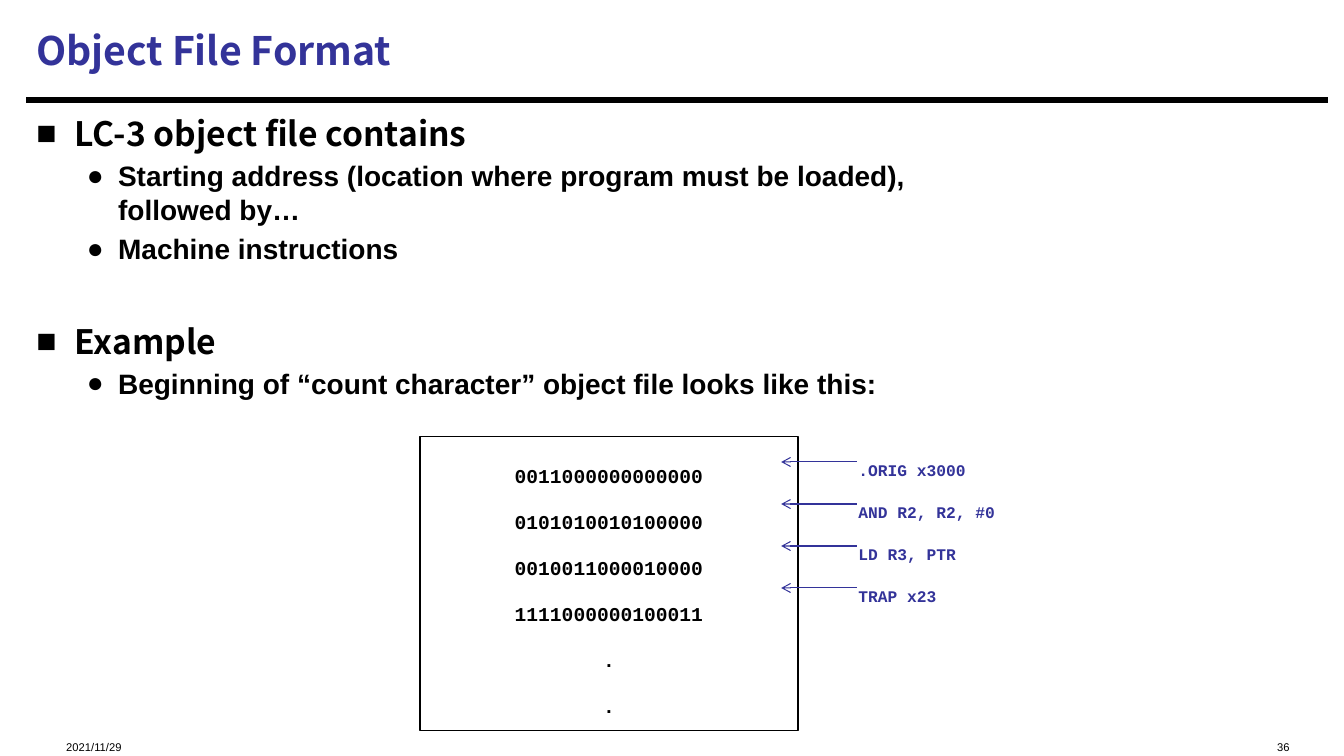
from dataclasses import dataclass

from lxml import etree
from pptx import Presentation
from pptx import util as u
from pptx.dml.color import RGBColor
from pptx.enum import shapes, text
from pptx.oxml.ns import qn

HEADING = "Object File Format"
OUTLINE = [
    ("LC-3 object file contains", [
        "Starting address (location where program must be loaded),\nfollowed by…",
        "Machine instructions",
    ]),
    ("Example", ["Beginning of “count character” object file looks like this:"]),
]
WORDS = ["0011000000000000", "0101010010100000", "0010011000010000",
         "1111000000100011", ".", "."]
SOURCE_LINES = [".ORIG x3000", "AND R2, R2, #0", "LD R3, PTR", "TRAP x23"]
DATE, PAGE = "2021/11/29", "36"


@dataclass(frozen=True)
class Theme:
    ink: str = "000000"
    accent: str = "333399"
    display: str = "Noto Sans CJK SC"
    plain: str = "Arial"
    code: str = "Courier New"
    title_size: float = 28
    topic_size: float = 24
    point_size: float = 20
    word_size: float = 14
    label_size: float = 11.6
    footer_size: float = 8


theme = Theme()
deck = Presentation()
deck.slide_width, deck.slide_height = u.Inches(13.33), u.Inches(7.5)
slide = deck.slides.add_slide(deck.slide_layouts[6])
COL, ROW = deck.slide_width / 32, deck.slide_height / 18


def grid(left, top, width, height):
    return [round(n) for n in (left * COL, top * ROW, width * COL, height * ROW)]


def write(frame, content, font=theme.plain, size=theme.point_size, color=theme.ink,
          bold=True, align=text.PP_ALIGN.LEFT, before=0, bullet=None, indent=(0, 0)):
    fresh = len(frame.paragraphs) == 1 and not frame.paragraphs[0].runs
    paragraph = frame.paragraphs[0] if fresh else frame.add_paragraph()
    paragraph.text = content
    paragraph.alignment = align
    paragraph.space_before = u.Pt(before)
    for run in paragraph.runs:
        run.font.name, run.font.size, run.font.bold = font, u.Pt(size), bold
        run.font.color.rgb = RGBColor.from_string(color)
    if bullet:
        props = paragraph._p.get_or_add_pPr()
        margin, hanging = indent
        props.set("marL", str(u.Inches(margin)))
        props.set("indent", str(u.Inches(-hanging)))
        etree.SubElement(props, qn("a:buFont"), typeface=theme.plain)
        etree.SubElement(props, qn("a:buChar"), char=bullet)


def text_area(*cells, anchor=text.MSO_ANCHOR.TOP, inset=0.05):
    frame = slide.shapes.add_textbox(*grid(*cells)).text_frame
    frame.word_wrap = True
    frame.vertical_anchor = anchor
    frame.margin_top = u.Inches(inset)
    return frame


def draw_line(left, right, row, color, width, arrow=False):
    y = round(row * ROW)
    line = slide.shapes.add_connector(
        shapes.MSO_CONNECTOR.STRAIGHT, round(left * COL), y, round(right * COL), y)
    line.line.color.rgb = RGBColor.from_string(color)
    line.line.width = u.Pt(width)
    if arrow:
        etree.SubElement(line.line._get_or_add_ln(), qn("a:tailEnd"), type="arrow")
    etree.SubElement(line._element.spPr, qn("a:effectLst"))


draw_line(0.63, 31.63, 2.38, theme.ink, 3.75)
write(text_area(1.34, 17.16, 8, 0.65, inset=0.19), DATE,
      size=theme.footer_size, bold=False)
write(text_area(21.34, 17.16, 9.6, 0.65, inset=0.19), PAGE,
      size=theme.footer_size, bold=False, align=text.PP_ALIGN.RIGHT)
write(text_area(0.63, 0.18, 30.94, 2, anchor=text.MSO_ANCHOR.MIDDLE), HEADING,
      font=theme.display, size=theme.title_size, color=theme.accent)

outline = text_area(0.63, 2.57, 30.94, 14.38)
for order, (topic, points) in enumerate(OUTLINE):
    write(outline, topic, font=theme.display, size=theme.topic_size,
          before=39.5 * order, bullet="■", indent=(0.38, 0.38))
    for point in points:
        write(outline, point, before=4, bullet="●", indent=(0.81, 0.31))

memory = slide.shapes.add_shape(shapes.MSO_SHAPE.RECTANGLE, *grid(10, 10.4, 9, 7))
memory.shadow.inherit = False
memory.fill.background()
memory.line.color.rgb = RGBColor.from_string(theme.ink)
memory.line.width = u.Pt(0.75)
memory.text_frame.vertical_anchor = text.MSO_ANCHOR.TOP
memory.text_frame.margin_top = u.Inches(0.27)
for word in WORDS:
    write(memory.text_frame, word, font=theme.code, size=theme.word_size,
          align=text.PP_ALIGN.CENTER, before=16)

for step, source_line in enumerate(SOURCE_LINES):
    write(text_area(20.2, 10.4 + step, 6, 1, inset=0.23), source_line,
          font=theme.code, size=theme.label_size, color=theme.accent)
    draw_line(20.4, 18.6, 11 + step, theme.accent, 0.75, arrow=True)

deck.save("out.pptx")
